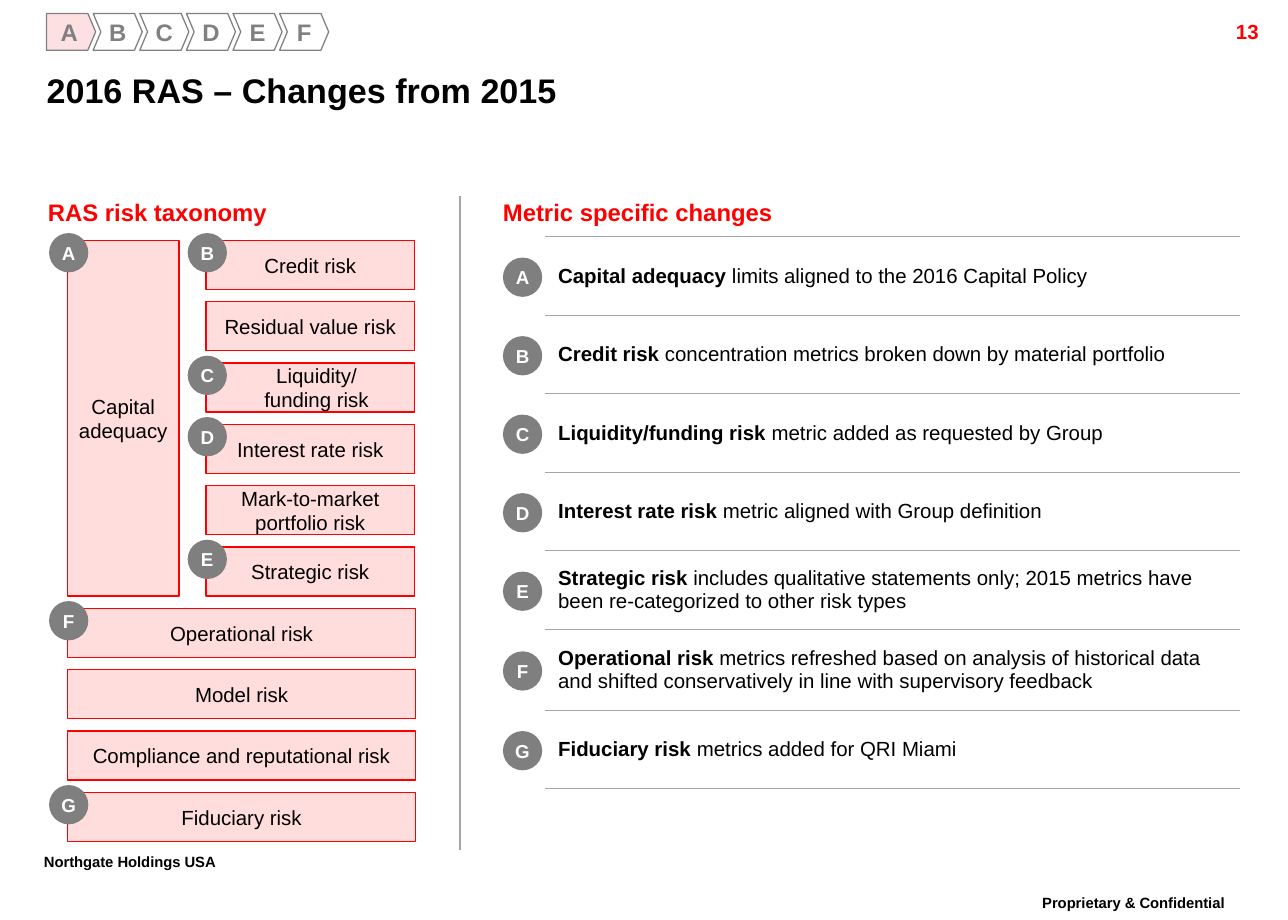
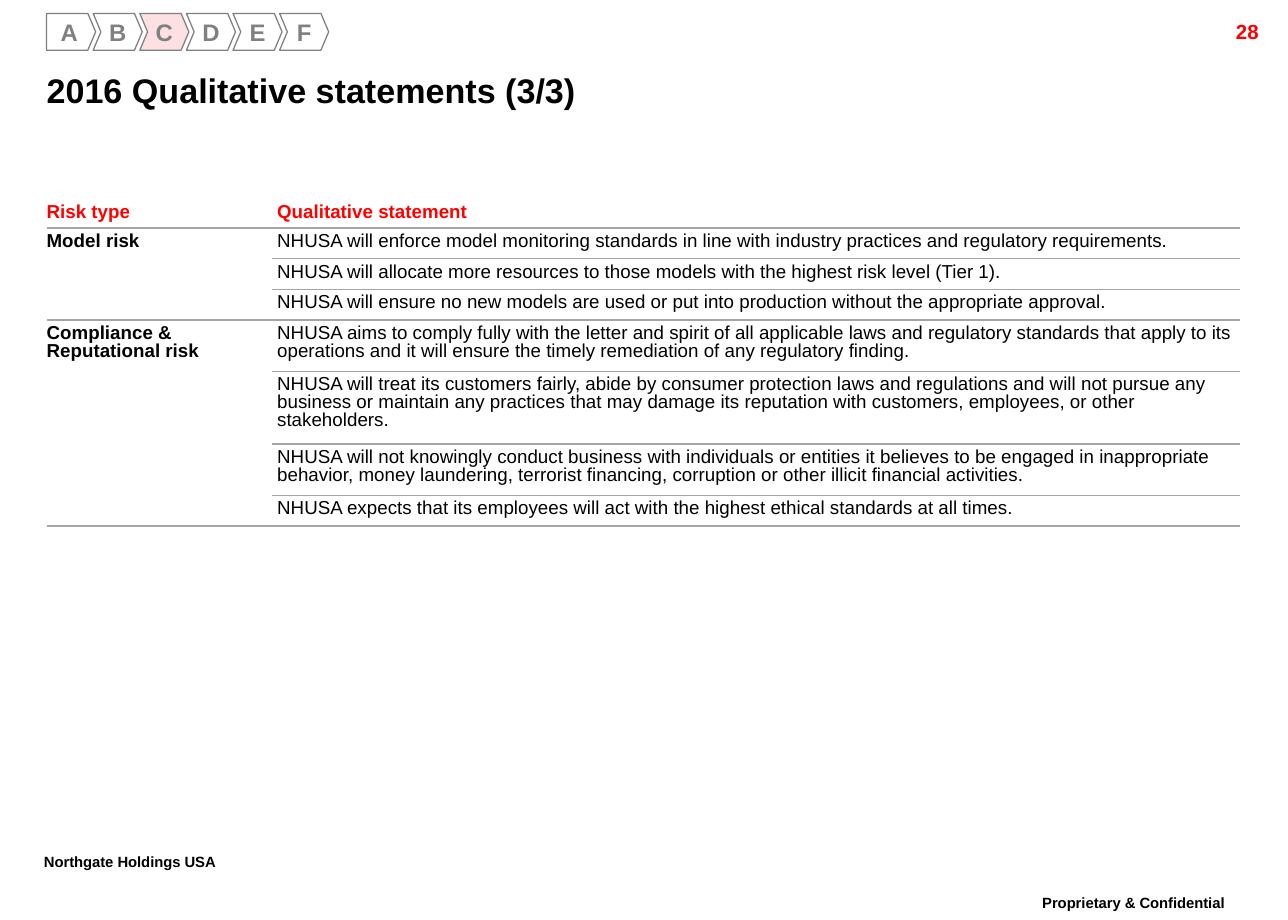
from pptx import Presentation
from pptx.dml.color import RGBColor
from pptx.enum.shapes import MSO_CONNECTOR, MSO_SHAPE
from pptx.enum.text import MSO_ANCHOR as ANCHOR, PP_ALIGN as ALIGN
from pptx.oxml import parse_xml
from pptx.oxml.ns import nsdecls, qn
from pptx.util import Inches, Pt

FONT = "Arial"
BLACK = RGBColor(0x00, 0x00, 0x00)
WHITE = RGBColor(0xFF, 0xFF, 0xFF)
RED = RGBColor(0xFF, 0x00, 0x00)
PINK = RGBColor(0xFF, 0xDD, 0xDD)
ACTIVE_PINK = RGBColor(0xFC, 0xE0, 0xE2)
BADGE_GRAY = RGBColor(0x7F, 0x7F, 0x7F)
TRACKER_GRAY = RGBColor(0x80, 0x80, 0x80)
RULE_GRAY = RGBColor(0xA5, 0xA5, 0xA5)
NO_STYLE = "{2D5ABB26-0587-4C30-8999-92F81FD0307C}"

SECTIONS = "ABCDEF"
COMPANY = "Northgate Holdings USA"
CONFIDENTIAL = "Proprietary & Confidential"

# Label, badge letter, left inset, right inset
NARROW_RISKS = [
    ("Credit risk", "B", 0.04, 0.04),
    ("Residual value risk", None, 0.04, 0.04),
    ("Liquidity/\nfunding risk", "C", 0.2, 0.1),
    ("Interest rate risk", "D", 0.04, 0.04),
    ("Mark-to-market portfolio risk", None, 0.1, 0.1),
    ("Strategic risk", "E", 0.04, 0.04),
]
WIDE_RISKS = [
    ("Operational risk", "F"),
    ("Model risk", None),
    ("Compliance and reputational risk", None),
    ("Fiduciary risk", "G"),
]
# Badge letter, bold lead, rest of the sentence, row height
METRIC_CHANGES = [
    ("A", "Capital adequacy ", "limits aligned to the 2016 Capital Policy", 0.64),
    ("B", "Credit risk ", "concentration metrics broken down by material portfolio", 0.64),
    ("C", "Liquidity/funding risk ", "metric added as requested by Group", 0.64),
    ("D", "Interest rate risk ", "metric aligned with Group definition", 0.64),
    ("E", "Strategic risk ", "includes qualitative statements only; 2015 metrics have "
     "been re-categorized to other risk types", 0.64),
    ("F", "Operational risk ", "metrics refreshed based on analysis of historical data "
     "and shifted conservatively in line with supervisory feedback", 0.66),
    ("G", "Fiduciary risk ", "metrics added for QRI Miami", 0.64),
]
STATEMENT_HEADER = ("Risk type", "Qualitative statement")
# Risk type, then its statements with their row heights
STATEMENTS = [
    ("Model risk", [
        ("NHUSA will enforce model monitoring standards in line with industry practices "
         "and regulatory requirements.", 0.25),
        ("NHUSA will allocate more resources to those models with the highest risk level "
         "(Tier 1).", 0.25),
        ("NHUSA will ensure no new models are used or put into production without the "
         "appropriate approval.", 0.25),
    ]),
    ("Compliance & Reputational risk", [
        ("NHUSA aims to comply fully with the letter and spirit of all applicable laws and "
         "regulatory standards that apply to its operations and it will ensure the timely "
         "remediation of any regulatory finding.", 0.42),
        ("NHUSA will treat its customers fairly, abide by consumer protection laws and "
         "regulations and will not pursue any business or maintain any practices that may "
         "damage its reputation with customers, employees, or other stakeholders.", 0.59),
        ("NHUSA will not knowingly conduct business with individuals or entities it believes "
         "to be engaged in inappropriate behavior, money laundering, terrorist financing, "
         "corruption or other illicit financial activities.", 0.42),
        ("NHUSA expects that its employees will act with the highest ethical standards at "
         "all times.", 0.25),
    ]),
]


def add_text(paragraph, text, size, color=BLACK, bold=False):
    for index, line in enumerate(text.split("\n")):
        if index:
            paragraph.add_line_break()
        run = paragraph.add_run()
        run.text = line
        formats = {"name": FONT, "size": Pt(size), "bold": bold}
        for name, value in formats.items():
            setattr(run.font, name, value)
        run.font.color.rgb = color
    return paragraph


def set_insets(target, insets):
    """Set left, top, right and bottom margins of a text frame or cell."""
    for side, inset in zip(("left", "top", "right", "bottom"), insets):
        setattr(target, f"margin_{side}", Inches(inset))


def add_label(slide, box, text, size, color=BLACK, align=ALIGN.LEFT,
              anchor=ANCHOR.TOP, insets=(0, 0, 0, 0)):
    frame = slide.shapes.add_textbox(*map(Inches, box)).text_frame
    frame.word_wrap = True
    frame.vertical_anchor = anchor
    set_insets(frame, insets)
    paragraph = add_text(frame.paragraphs[0], text, size, color, bold=True)
    paragraph.alignment = align
    return paragraph


def add_box(slide, preset, box, text, size, fill, line=None, color=BLACK,
            bold=False, insets=(0, 0, 0, 0), wrap=True):
    shape = slide.shapes.add_shape(preset, *map(Inches, box))
    shape.shadow.inherit = False
    shape.fill.solid()
    shape.fill.fore_color.rgb = fill
    if line is None:
        shape.line.fill.background()
    else:
        shape.line.color.rgb = line
        shape.line.width = Pt(0.75)
    frame = shape.text_frame
    frame.word_wrap = wrap
    frame.vertical_anchor = ANCHOR.MIDDLE
    set_insets(frame, insets)
    add_text(frame.paragraphs[0], text, size, color, bold).alignment = ALIGN.CENTER
    return shape


def add_badge(slide, left, top, letter):
    add_box(slide, MSO_SHAPE.OVAL, (left, top, 0.32, 0.32), letter, 11, BADGE_GRAY,
            color=WHITE, bold=True, wrap=False)


def add_risk(slide, box, text, letter, left_inset=0.04, right_inset=0.04):
    """Draw a taxonomy box with a badge over its top left corner."""
    add_box(slide, MSO_SHAPE.RECTANGLE, box, text, 12, PINK, line=RED,
            insets=(left_inset, 0.04, right_inset, 0.04))
    if letter:
        add_badge(slide, box[0] - 0.15, box[1] - 0.06, letter)


def add_plain_table(slide, left, top, widths, heights):
    frame = slide.shapes.add_table(
        len(heights), len(widths), Inches(left), Inches(top),
        Inches(sum(widths)), Inches(sum(heights)))
    table = frame.table
    table.first_row = table.horz_banding = False
    table._tbl.tblPr.find(qn("a:tableStyleId")).text = NO_STYLE
    for column, width in zip(table.columns, widths):
        column.width = Inches(width)
    for row, height in zip(table.rows, heights):
        row.height = Inches(height)
    return table


def add_border(cell, edge, width):
    cell._tc.get_or_add_tcPr().append(parse_xml(
        f'<a:{edge} {nsdecls("a")} w="{Pt(width)}"><a:solidFill>'
        f'<a:srgbClr val="{RULE_GRAY}"/></a:solidFill></a:{edge}>'))


def start_cell(cell, insets, anchor):
    """Set up an empty cell and return its paragraph."""
    set_insets(cell, insets)
    cell.vertical_anchor = anchor
    paragraph = cell.text_frame.paragraphs[0]
    paragraph.space_before = paragraph.space_after = Pt(2)
    return paragraph


def add_base_slide(presentation, title, number, active_section):
    slide = presentation.slides.add_slide(presentation.slide_layouts[6])
    footers = [((8.15, 7.25, 2.18, 0.35), CONFIDENTIAL, ALIGN.CENTER),
               ((0.26, 6.91, 1.91, 0.35), COMPANY, ALIGN.LEFT)]
    for box, text, align in footers:
        paragraph = add_label(slide, box, text, 15, align=align,
                              insets=(0.1, 0.05, 0.1, 0.05))
        paragraph.line_spacing = 0.86
        paragraph.runs[0].font._element.set("baseline", "30000")
    add_label(slide, (9.36, 0.11, 1, 0.24), number, 12, RED, ALIGN.RIGHT,
              insets=(0.1, 0.05, 0.1, 0.05))
    add_label(slide, (0.38, 0.49, 9.48, 0.48), title, 20, anchor=ANCHOR.MIDDLE)
    for index, letter in enumerate(SECTIONS):
        preset = MSO_SHAPE.CHEVRON if index else MSO_SHAPE.PENTAGON
        fill = ACTIVE_PINK if letter == active_section else WHITE
        step = add_box(slide, preset, (0.38 + 0.38 * index, 0.11, 0.4, 0.3), letter, 14,
                       fill, line=TRACKER_GRAY, color=TRACKER_GRAY, bold=True)
        step.adjustments[0] = 0.21
    return slide


def add_taxonomy(slide):
    left, top, pitch, height = 0.55, 1.96, 0.5, 0.4
    narrow_height = pitch * (len(NARROW_RISKS) - 1) + height
    add_risk(slide, (left, top, 0.91, narrow_height), "Capital adequacy", "A")
    for index, (text, letter, *insets) in enumerate(NARROW_RISKS):
        add_risk(slide, (1.68, top + pitch * index, 1.7, height), text, letter, *insets)
    for index, (text, letter) in enumerate(WIDE_RISKS, len(NARROW_RISKS)):
        add_risk(slide, (left, top + pitch * index, 2.84, height), text, letter)


def add_metric_changes(slide):
    top = 1.93
    table = add_plain_table(slide, 4.44, top, [5.67], [row[3] for row in METRIC_CHANGES])
    add_border(table.cell(0, 0), "lnT", 0.75)
    for index, (letter, lead, rest, height) in enumerate(METRIC_CHANGES):
        cell = table.cell(index, 0)
        paragraph = start_cell(cell, (0.11, 0.05, 0.11, 0.05), ANCHOR.MIDDLE)
        add_text(paragraph, lead, 12, bold=True)
        add_text(paragraph, rest, 12)
        add_border(cell, "lnB", 0.75)
        cell.fill.solid()
        cell.fill.fore_color.rgb = WHITE
        add_badge(slide, 4.1, top + height / 2 - 0.15, letter)
        top += height


def add_changes_slide(presentation):
    slide = add_base_slide(presentation, "2016 RAS – Changes from 2015", "13", "A")
    for left, heading in ((0.39, "RAS risk taxonomy"), (4.1, "Metric specific changes")):
        add_label(slide, (left, 1.61, 2.83, 0.22), heading, 14, RED)
    add_metric_changes(slide)
    add_taxonomy(slide)
    divider = slide.shapes.add_connector(
        MSO_CONNECTOR.STRAIGHT, Inches(3.75), Inches(1.6), Inches(3.75), Inches(6.93))
    divider.line.color.rgb = RULE_GRAY
    divider.line.width = Pt(0.75)
    divider._element.spPr.append(parse_xml(f'<a:effectLst {nsdecls("a")}/>'))


def fill_statement_cell(cell, column, text, color=BLACK, bold=False,
                        anchor=ANCHOR.TOP):
    paragraph = start_cell(cell, (0.04 * column, 0.04, 0.04, 0.04), anchor)
    paragraph.line_spacing = 0.86
    add_text(paragraph, text, 11, color, bold)


def add_statements_slide(presentation):
    slide = add_base_slide(presentation, "2016 Qualitative statements (3/3)", "28", "C")
    heights = [0.25] + [height for _, group in STATEMENTS for _, height in group]
    table = add_plain_table(slide, 0.38, 1.61, [1.84, 7.89], heights)
    for column, text in enumerate(STATEMENT_HEADER):
        cell = table.cell(0, column)
        fill_statement_cell(cell, column, text, RED, True, ANCHOR.MIDDLE)
        add_border(cell, "lnB", 1)
    first = 1
    for risk_type, group in STATEMENTS:
        last = first + len(group) - 1
        type_cell = table.cell(first, 0)
        type_cell.merge(table.cell(last, 0))
        fill_statement_cell(type_cell, 0, risk_type, bold=True)
        for cell in (type_cell, table.cell(last, 0)):
            add_border(cell, "lnB", 1)
        for row, (statement, _) in enumerate(group, first):
            cell = table.cell(row, 1)
            fill_statement_cell(cell, 1, statement)
            add_border(cell, "lnB", 1 if row == last else 0.75)
        first = last + 1
    for cell in table.iter_cells():
        cell.fill.background()


def main():
    presentation = Presentation()
    presentation.slide_width = Inches(10.5)
    presentation.slide_height = Inches(7.5)
    add_changes_slide(presentation)
    add_statements_slide(presentation)
    presentation.save("out.pptx")


if __name__ == "__main__":
    main()
